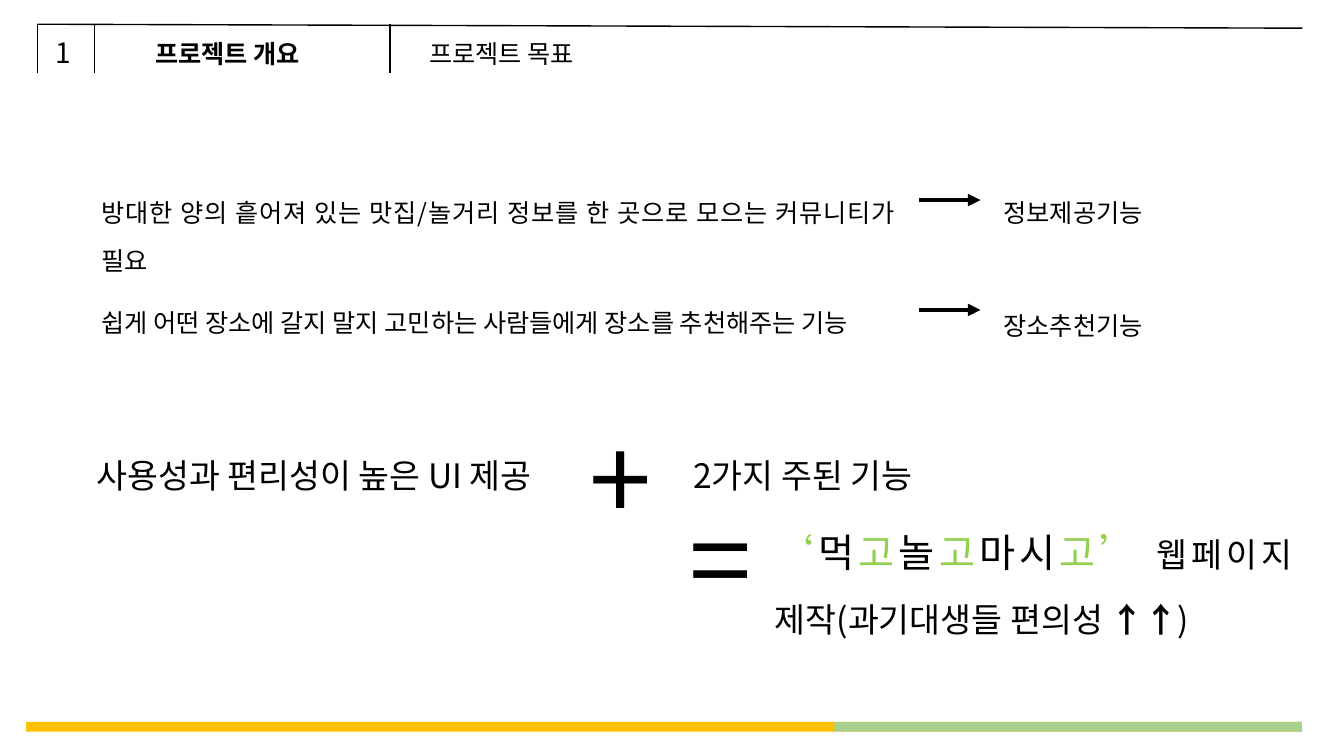
from dataclasses import dataclass

from lxml import etree
from pptx import Presentation
from pptx.dml.color import RGBColor
from pptx.enum.shapes import MSO_CONNECTOR, MSO_SHAPE
from pptx.enum.text import MSO_ANCHOR, MSO_AUTO_SIZE, PP_ALIGN
from pptx.oxml.ns import qn
from pptx.util import Cm, Pt

STRAIGHT = MSO_CONNECTOR.STRAIGHT
RECT = MSO_SHAPE.RECTANGLE
TOP = MSO_ANCHOR.TOP
NO_FIT = MSO_AUTO_SIZE.NONE
LEFT, JUSTIFY = PP_ALIGN.LEFT, PP_ALIGN.JUSTIFY
TITLE_ONLY = 5


@dataclass(frozen=True)
class Theme:
    font: str = "Noto Sans CJK KR"
    ink: str = "000000"
    accent: str = "92D050"
    amber: str = "FFC000"
    green: str = "A9D18E"
    body: int = 18
    number: int = 20
    large: int = 24
    name: int = 28
    sign: int = 80
    spacing: float = 1.6


T = Theme()


def add_run(p, text, size=T.body, color=T.ink, bold=False):
    r = p.add_run()
    r.text = text
    r.font.name = T.font
    r.font.size = Pt(size)
    r.font.bold = bold
    r.font.color.rgb = RGBColor.from_string(color)
    ea = etree.SubElement(r.font._element, qn("a:ea"))
    ea.set("typeface", T.font)


def fill_text(sp, runs, align=LEFT, spacing=1.0, wrap=True):
    tf = sp.text_frame
    tf.word_wrap = wrap
    tf.auto_size = NO_FIT
    tf.vertical_anchor = TOP
    p = tf.paragraphs[0]
    p.alignment = align
    p.line_spacing = spacing
    p.space_before = Pt(0)
    for text, fmt in runs:
        add_run(p, text, **fmt)


def add_text(s, text, x, y, w, h, align=LEFT, spacing=1.0, wrap=True, **fmt):
    sp = s.shapes.add_textbox(Cm(x), Cm(y), Cm(w), Cm(h))
    runs = [(text, fmt)] if isinstance(text, str) else text
    fill_text(sp, runs, align, spacing, wrap)


def add_line(s, x1, y1, x2, y2, width=1, arrow=False):
    cx = s.shapes.add_connector(STRAIGHT, Cm(x1), Cm(y1), Cm(x2), Cm(y2))
    cx.line.width = Pt(width)
    cx.line.color.rgb = RGBColor.from_string(T.ink)
    if arrow:
        tail = etree.SubElement(cx.line._get_or_add_ln(), qn("a:tailEnd"))
        tail.set("type", "triangle")
    etree.SubElement(cx._element.spPr, qn("a:effectLst"))


def add_header(s, x, y, w, h):
    add_line(s, x, y, x + w, y + 0.1)
    for dx in (0, 1.45, 8.89):
        add_line(s, x + dx, y, x + dx, y + h)
    add_text(s, "1", x + 0.2, y + 0.15, 1.07, 1.12, size=T.number)
    title = s.shapes.title
    title.left, title.top = Cm(x + 2.72), Cm(y + 0.23)
    title.width, title.height = Cm(4.6), Cm(1.02)
    fill_text(title, [("프로젝트 개요", {"bold": True})], wrap=False)
    add_text(s, "프로젝트 목표", x + 9.63, y + 0.23, 4.6, 1.02, wrap=False)


def add_need(s, need, feature, x, y, w, h, drop=0):
    add_text(s, need, x, y, w, h, JUSTIFY, T.spacing)
    add_line(s, x + 20.85, y + 0.65, x + 22.4, y + 0.65, 3, arrow=True)
    add_text(s, feature, x + 22.73, y + drop, 4.67, 1.5, JUSTIFY, T.spacing)


def add_equation(s, x, y, w, h):
    term = {"align": JUSTIFY, "spacing": T.spacing, "size": T.large}
    add_text(s, "사용성과 편리성이 높은 UI 제공", x, y, w, h, **term)
    add_text(s, "+", x + w, y - 0.53, 2.59, 3.68, size=T.sign)
    add_text(s, "2가지 주된 기능", x + 15.04, y, w, h, **term)
    add_text(s, "=", x + 14.94, y + 1.52, 2.69, 3.68, size=T.sign)
    plain = {"size": T.name}
    green = {"size": T.name, "color": T.accent}
    large = {"size": T.large}
    result = [
        ("‘", green), ("먹", plain), ("고", green), ("놀", plain),
        ("고", green), ("마시", plain), ("고’ ", green),
        ("웹페이지 제작(과기대생들 편의성 ", large),
        ("↑↑", {"size": T.large, "bold": True}), (")", large),
    ]
    add_text(s, result, x + 17.1, y + 1.75, 13.54, 3.81, JUSTIFY, T.spacing)


def add_footer(s, x, y, w, h):
    split = 20.37
    for dx, color in ((0, T.amber), (split, T.green)):
        sp = s.shapes.add_shape(RECT, Cm(x + dx), Cm(y), Cm(w - dx), Cm(h))
        sp.shadow.inherit = False
        sp.fill.solid()
        sp.fill.fore_color.rgb = RGBColor.from_string(color)
        sp.line.fill.background()


def main():
    prs = Presentation()
    prs.slide_width, prs.slide_height = Cm(33.87), Cm(19.05)
    s = prs.slides.add_slide(prs.slide_layouts[TITLE_ONLY])
    add_header(s, 0.94, 0.61, 31.88, 1.22)
    add_footer(s, 0.66, 18.19, 32.15, 0.25)
    add_need(s, "방대한 양의 흩어져 있는 맛집/놀거리 정보를 한 곳으로 모으는 커뮤니티가 필요",
             "정보제공기능", 2.31, 4.39, 20.5, 2.72)
    add_need(s, "쉽게 어떤 장소에 갈지 말지 고민하는 사람들에게 장소를 추천해주는 기능",
             "장소추천기능", 2.31, 7.16, 21.41, 1.37, drop=0.08)
    add_equation(s, 2.18, 10.72, 12.42, 1.91)
    prs.save("out.pptx")


if __name__ == "__main__":
    main()
